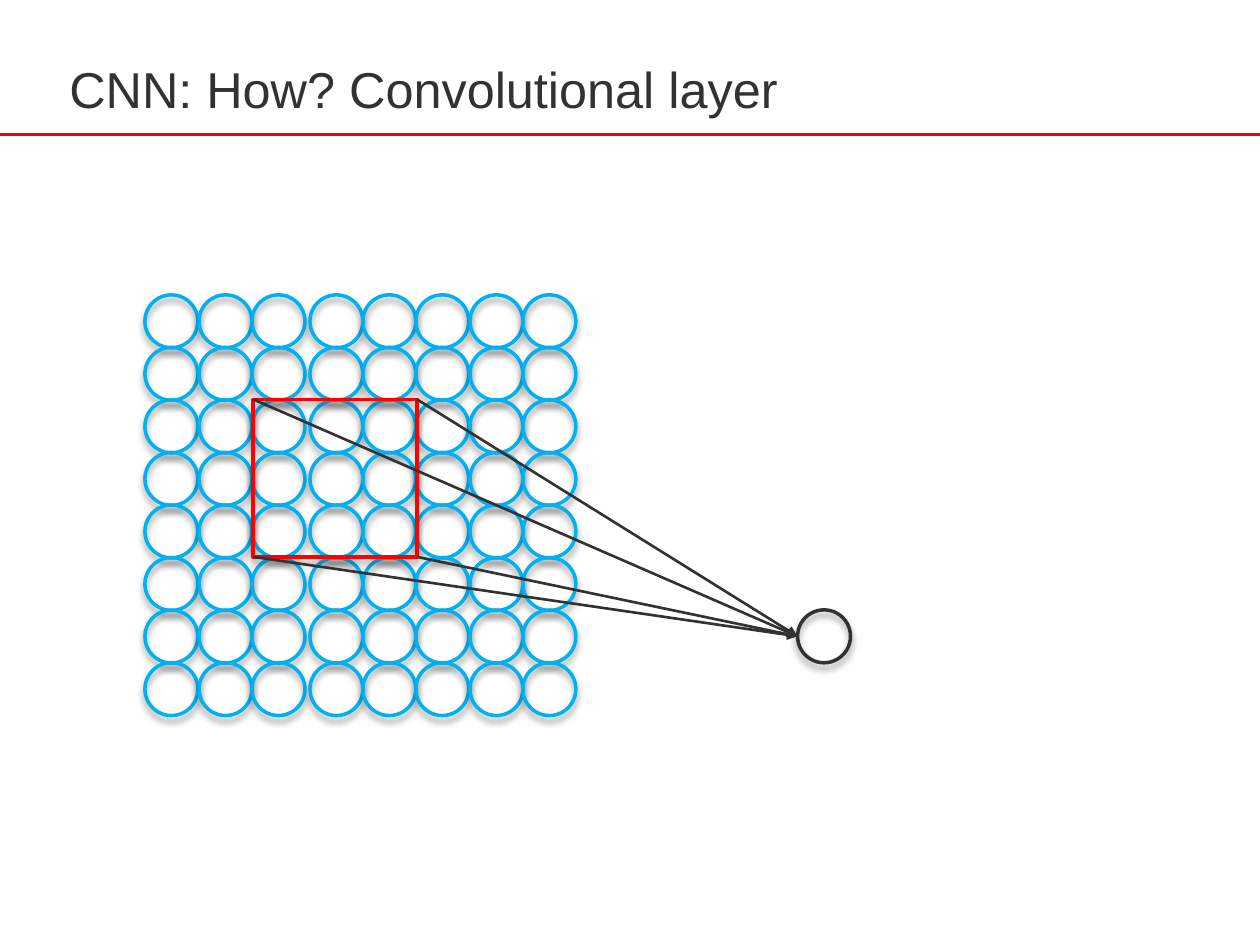
from lxml import etree
from pptx import Presentation
from pptx.dml.color import RGBColor
from pptx.enum.shapes import MSO_CONNECTOR, MSO_SHAPE
from pptx.enum.text import MSO_ANCHOR, MSO_AUTO_SIZE, PP_ALIGN
from pptx.oxml.ns import qn
from pptx.util import Inches, Pt

OVAL, RECT = MSO_SHAPE.OVAL, MSO_SHAPE.RECTANGLE
LINE = MSO_CONNECTOR.STRAIGHT
MIDDLE, LEFT, FIXED = MSO_ANCHOR.MIDDLE, PP_ALIGN.LEFT, MSO_AUTO_SIZE.NONE

TITLE = "CNN: How? Convolutional layer"
COLS = [1.15, 1.58, 2, 2.46, 2.88, 3.3, 3.73, 4.15]
ROWS, TOP, STEP, SIZE = 8, 2.34, 0.417, 0.42
FIELD = (2.01, 3.17, 1.3, 1.25)
OUTPUT = (6.33, 4.84, SIZE, SIZE)

THEME = {
    "font": "Arial", "title": 28.8, "thin": 1.5, "thick": 2,
    "ink": "323232", "rule": "E30613", "input": "00B0F0",
    "field": "FF0000", "shade": "000000",
}


def color(name):
    return RGBColor.from_string(THEME[name])


def add_shade(effects):
    shade = etree.SubElement(effects, qn("a:outerShdw"), blurRad=str(Pt(4)),
                             dist=str(Pt(3)), dir="5400000", rotWithShape="0")
    tint = etree.SubElement(shade, qn("a:srgbClr"), val=THEME["shade"])
    etree.SubElement(tint, qn("a:alpha"), val="40000")


def add_outline(slide, kind, box, name):
    shape = slide.shapes.add_shape(kind, *map(Inches, box))
    shape.fill.background()
    shape.line.color.rgb = color(name)
    shape.line.width = Pt(THEME["thick"])
    shape.shadow.inherit = False
    add_shade(shape._element.spPr.find(qn("a:effectLst")))


def add_line(slide, start, end, name, arrow=False):
    line = slide.shapes.add_connector(LINE, *map(Inches, (*start, *end)))
    line.line.color.rgb = color(name)
    line.line.width = Pt(THEME["thin"])
    if arrow:
        etree.SubElement(line.line._get_or_add_ln(), qn("a:tailEnd"), type="triangle")
    etree.SubElement(line._element.spPr, qn("a:effectLst"))


def add_title(slide):
    title = slide.shapes.title
    title.left, title.top, title.width, title.height = map(Inches, (0.55, 0.44, 8.86, 0.53))
    frame = title.text_frame
    frame.text = TITLE
    frame.auto_size = FIXED
    frame.vertical_anchor = MIDDLE
    frame.margin_left = frame.margin_right = frame.margin_top = frame.margin_bottom = 0
    para = frame.paragraphs[0]
    para.alignment = LEFT
    font = para.runs[0].font
    font.size = Pt(THEME["title"])
    font.color.rgb = color("ink")
    add_shade(etree.SubElement(para.runs[0]._r.get_or_add_rPr(), qn("a:effectLst")))
    font.name = THEME["font"]


def main():
    deck = Presentation()
    deck.slide_width, deck.slide_height = Inches(10), Inches(7.5)
    slide = deck.slides.add_slide(deck.slide_layouts[5])
    add_title(slide)
    add_line(slide, (0, 1.07), (10, 1.07), "rule")

    for row in range(ROWS):
        for left in COLS:
            add_outline(slide, OVAL, (left, TOP + row * STEP, SIZE, SIZE), "input")

    add_outline(slide, RECT, FIELD, "field")
    add_outline(slide, OVAL, OUTPUT, "ink")
    left, top, width, height = FIELD
    target = (OUTPUT[0], OUTPUT[1] + SIZE / 2)
    for y in (top, top + height):
        for x in (left, left + width):
            add_line(slide, (x, y), target, "ink", arrow=True)

    deck.save("out.pptx")


if __name__ == "__main__":
    main()
